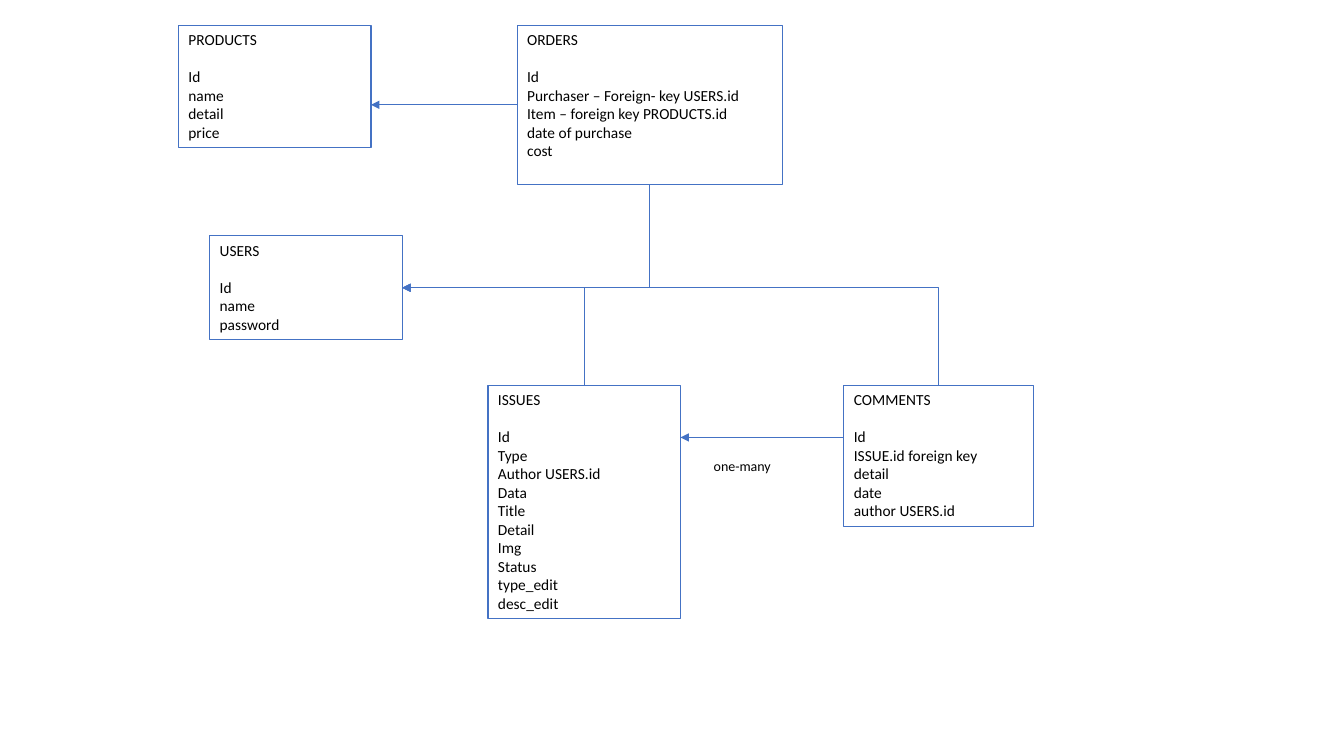
from lxml.etree import SubElement
from pptx import Presentation
from pptx.dml.color import RGBColor
from pptx.enum.shapes import MSO_CONNECTOR, MSO_SHAPE
from pptx.enum.text import MSO_ANCHOR, PP_ALIGN
from pptx.oxml.ns import qn
from pptx.util import Inches, Pt

BLUE, BLACK = "4472C4", "000000"
TOP, LEFT, BOTTOM, RIGHT = range(4)

# Entity name: (left, top, width, height), fields
ENTITIES = {
    "PRODUCTS": ((1.77, 0.25, 1.91, 1.21), ["Id", "name", "detail", "price"]),
    "USERS": ((2.08, 2.34, 1.91, 1.03), ["Id", "name", "password"]),
    "ORDERS": ((5.13, 0.25, 2.63, 1.58), [
        "Id", "Purchaser – Foreign- key USERS.id",
        "Item – foreign key PRODUCTS.id", "date of purchase", "cost"]),
    "ISSUES": ((4.84, 3.82, 1.91, 2.32), [
        "Id", "Type", "Author USERS.id", "Data", "Title", "Detail",
        "Img", "Status", "type_edit", "desc_edit"]),
    "COMMENTS": ((8.37, 3.82, 1.88, 1.4), [
        "Id", "ISSUE.id foreign key", "detail", "date", "author USERS.id"]),
}


def color(value):
    return RGBColor.from_string(value)


def add_span(para, text, size):
    span = para.add_run()
    span.text = text
    span.font.name = "Calibri"
    span.font.size = Pt(size)
    span.font.color.rgb = color(BLACK)


def add_entity(page, name, box, fields):
    shape = page.shapes.add_shape(MSO_SHAPE.RECTANGLE, *map(Inches, box))
    shape.shadow.inherit = False
    shape.fill.background()
    shape.line.color.rgb = color(BLUE)
    shape.line.width = Pt(0.75)
    frame = shape.text_frame
    frame.word_wrap = True
    frame.vertical_anchor = MSO_ANCHOR.TOP
    for index, text in enumerate([name] + fields):
        para = frame.add_paragraph() if index else frame.paragraphs[0]
        para.alignment = PP_ALIGN.LEFT
        add_span(para, text, 11)
    # One line of space between the name and its fields
    frame.paragraphs[0].space_after = Pt(13.4)
    return shape


def add_label(page, text, box):
    label = page.shapes.add_textbox(*map(Inches, box))
    label.text_frame.word_wrap = False
    add_span(label.text_frame.paragraphs[0], text, 10)


def add_link(page, kind, start, end):
    """Draw a link whose arrowhead sits at its start."""
    link = page.shapes.add_connector(kind, *start, *end)
    link.line.color.rgb = color(BLUE)
    link.line.width = Pt(0.5)
    properties = link._element.spPr
    SubElement(properties.find(qn("a:ln")), qn("a:headEnd"), type="triangle")
    SubElement(properties, qn("a:effectLst"))
    return link


def add_straight_link(page, target, source, y):
    start = target.left + target.width, y
    return add_link(page, MSO_CONNECTOR.STRAIGHT, start, (source.left, y))


def add_corner_link(page, target, source, side):
    """Run from the target's right side to the source's top or bottom."""
    start = target.left + target.width, target.top + target.height // 2
    edge = source.top + (source.height if side == BOTTOM else 0)
    end = source.left + source.width // 2, edge
    link = add_link(page, MSO_CONNECTOR.ELBOW, start, end)
    link._element.spPr.find(qn("a:prstGeom")).set("prst", "bentConnector2")
    link.begin_connect(target, RIGHT)
    link.end_connect(source, side)


def build_schema(page):
    # Entities
    entities = {name: add_entity(page, name, box, fields)
                for name, (box, fields) in ENTITIES.items()}
    users, orders = entities["USERS"], entities["ORDERS"]
    issues, comments = entities["ISSUES"], entities["COMMENTS"]

    # Issue to comments
    add_label(page, "one-many", (6.98, 4.49, 0.78, 0.27))
    add_straight_link(page, issues, comments, Inches(4.34))

    # References to users
    for source, side in ((comments, TOP), (issues, TOP), (orders, BOTTOM)):
        add_corner_link(page, users, source, side)

    # Order to product
    middle = orders.top + orders.height // 2
    link = add_straight_link(page, entities["PRODUCTS"], orders, middle)
    link.end_connect(orders, LEFT)


def main():
    deck = Presentation()
    deck.slide_width, deck.slide_height = Inches(13.33), Inches(7.5)
    page = deck.slides.add_slide(deck.slide_layouts[6])
    build_schema(page)
    deck.save("out.pptx")


if __name__ == "__main__":
    main()
